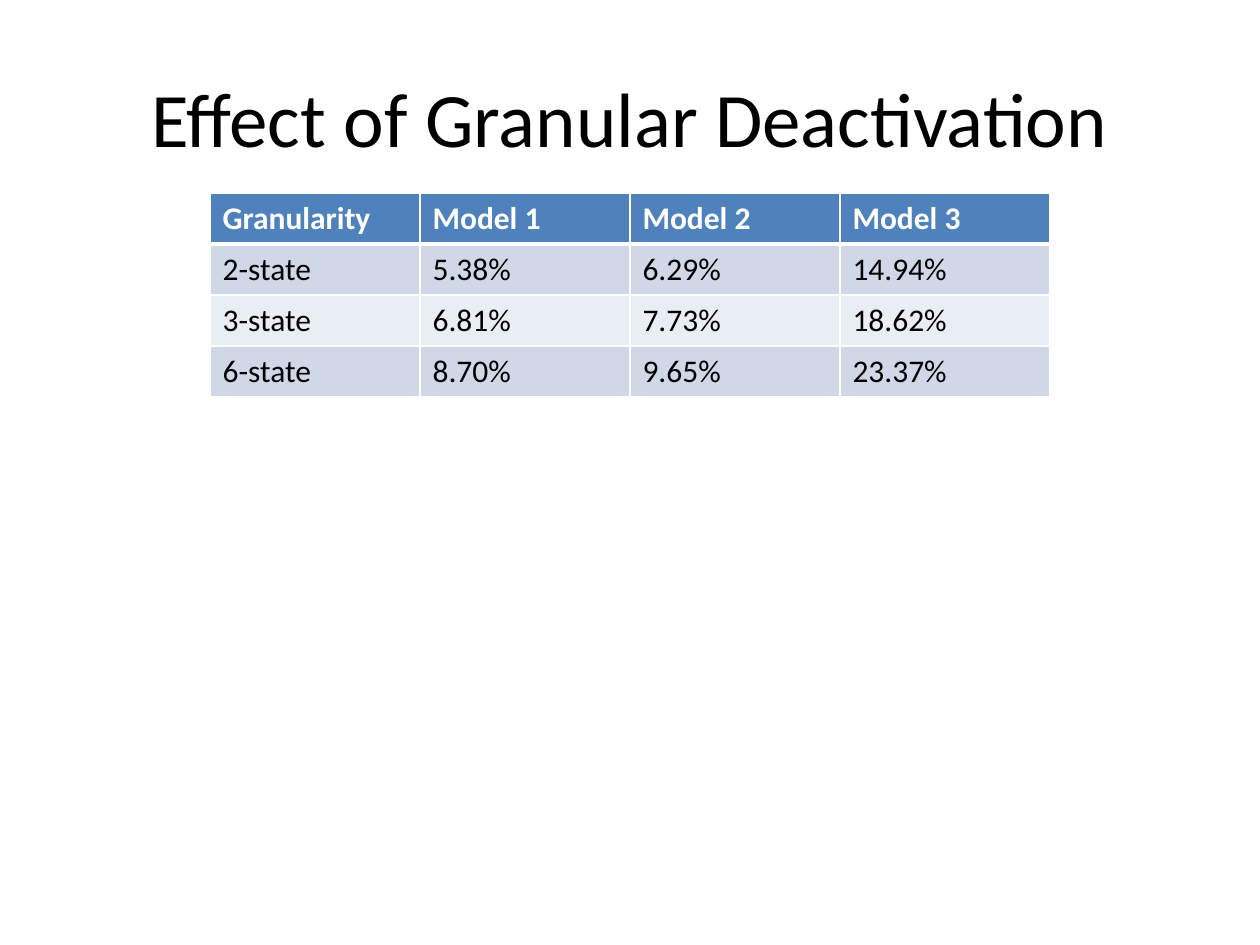
"""Build the granular deactivation slide: a title above a results table."""
from lxml import etree
from pptx import Presentation
from pptx.dml.color import RGBColor
from pptx.enum.text import MSO_ANCHOR, PP_ALIGN
from pptx.oxml.ns import qn
from pptx.util import Pt

MIDDLE = MSO_ANCHOR.MIDDLE
CENTER = PP_ALIGN.CENTER

TITLE = "Effect of Granular Deactivation"
ROWS = [
    ("Granularity", "Model 1", "Model 2", "Model 3"),
    ("2-state", "5.38%", "6.29%", "14.94%"),
    ("3-state", "6.81%", "7.73%", "18.62%"),
    ("6-state", "8.70%", "9.65%", "23.37%"),
]
FONT = "Calibri"
BLACK, WHITE = "000000", "FFFFFF"
HEADER_FILL = "4F81BD"
BAND_FILLS = ("D0D8E8", "E9EDF4")
SLIDE_W, SLIDE_H = 1260, 945
TITLE_BOX = (63, 38, 1134, 157)
TABLE_TOP, COL_W, ROW_H = 193, 210, 51


def px(n):
    return round(n * 914400 / 126)


def rgb(color):
    return RGBColor.from_string(color)


def add_run(p, text, size, color, bold=False):
    r = p.add_run()
    r.text = text
    r.font.name = FONT
    r.font.size = Pt(size)
    r.font.bold = bold
    r.font.color.rgb = rgb(color)


def set_borders(cell, **widths):
    tc_pr = cell._tc.get_or_add_tcPr()
    for side in "LRTB":
        ln = etree.SubElement(tc_pr, qn(f"a:ln{side}"), w=str(Pt(widths.get(side, 1))))
        fill = etree.SubElement(ln, qn("a:solidFill"))
        etree.SubElement(fill, qn("a:srgbClr"), val=WHITE)


def add_title(s):
    tf = s.shapes.add_textbox(*map(px, TITLE_BOX)).text_frame
    tf.word_wrap = True
    tf.vertical_anchor = MIDDLE
    p = tf.paragraphs[0]
    p.alignment = CENTER
    add_run(p, TITLE, 44, BLACK)


def add_results(s):
    n_rows, n_cols = len(ROWS), len(ROWS[0])
    width = n_cols * COL_W
    box = ((SLIDE_W - width) // 2, TABLE_TOP, width, n_rows * ROW_H)
    table = s.shapes.add_table(n_rows, n_cols, *map(px, box)).table
    for i, row in enumerate(ROWS):
        header = i == 0
        for j, text in enumerate(row):
            cell = table.cell(i, j)
            set_borders(cell, T=3 if i == 1 else 1, B=3 if header else 1)
            cell.fill.solid()
            cell.fill.fore_color.rgb = rgb(HEADER_FILL if header else BAND_FILLS[(i - 1) % 2])
            add_run(cell.text_frame.paragraphs[0], text, 18, WHITE if header else BLACK, header)


def main():
    prs = Presentation()
    prs.slide_width, prs.slide_height = px(SLIDE_W), px(SLIDE_H)
    s = prs.slides.add_slide(prs.slide_layouts[6])
    add_title(s)
    add_results(s)
    prs.save("out.pptx")


if __name__ == "__main__":
    main()
